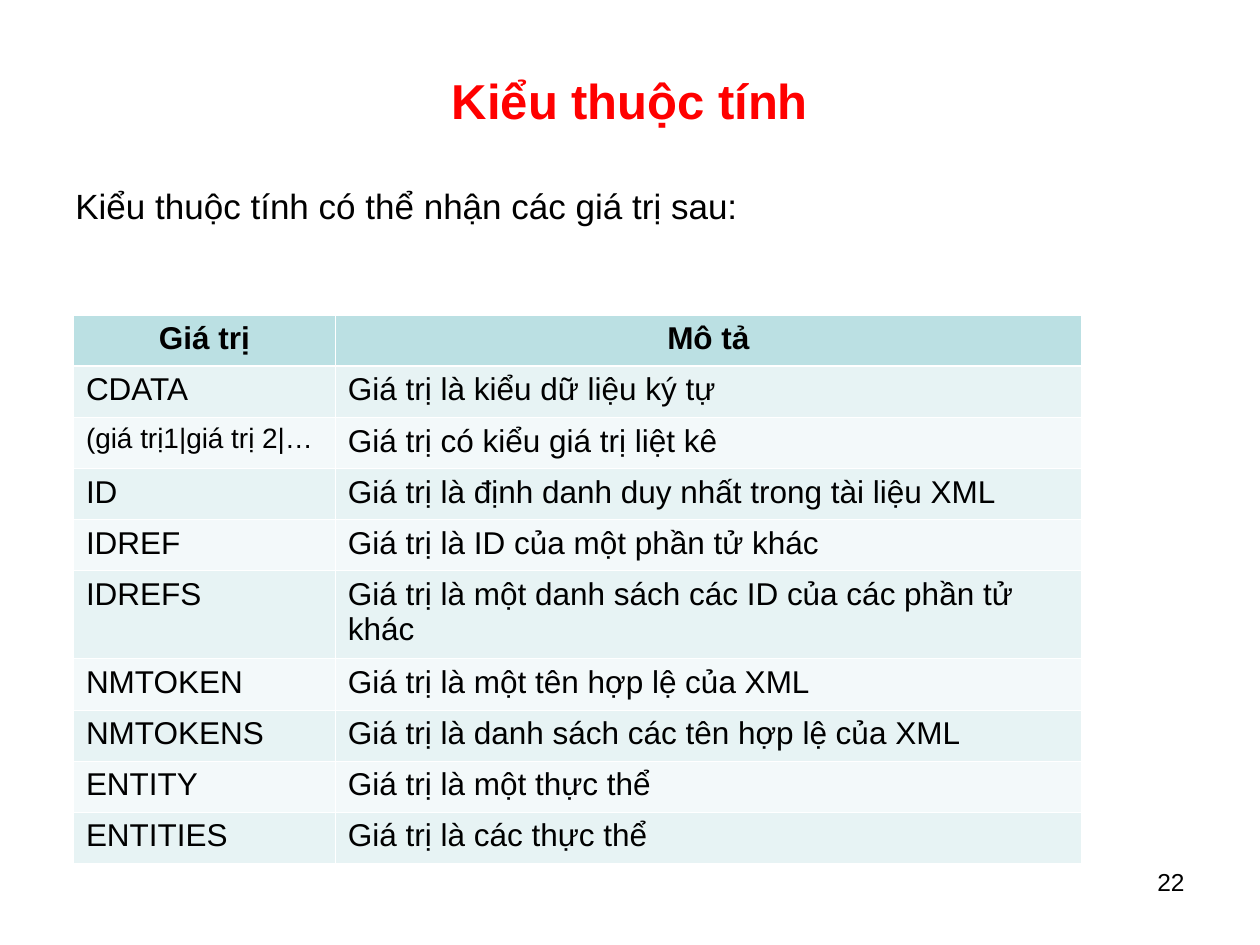
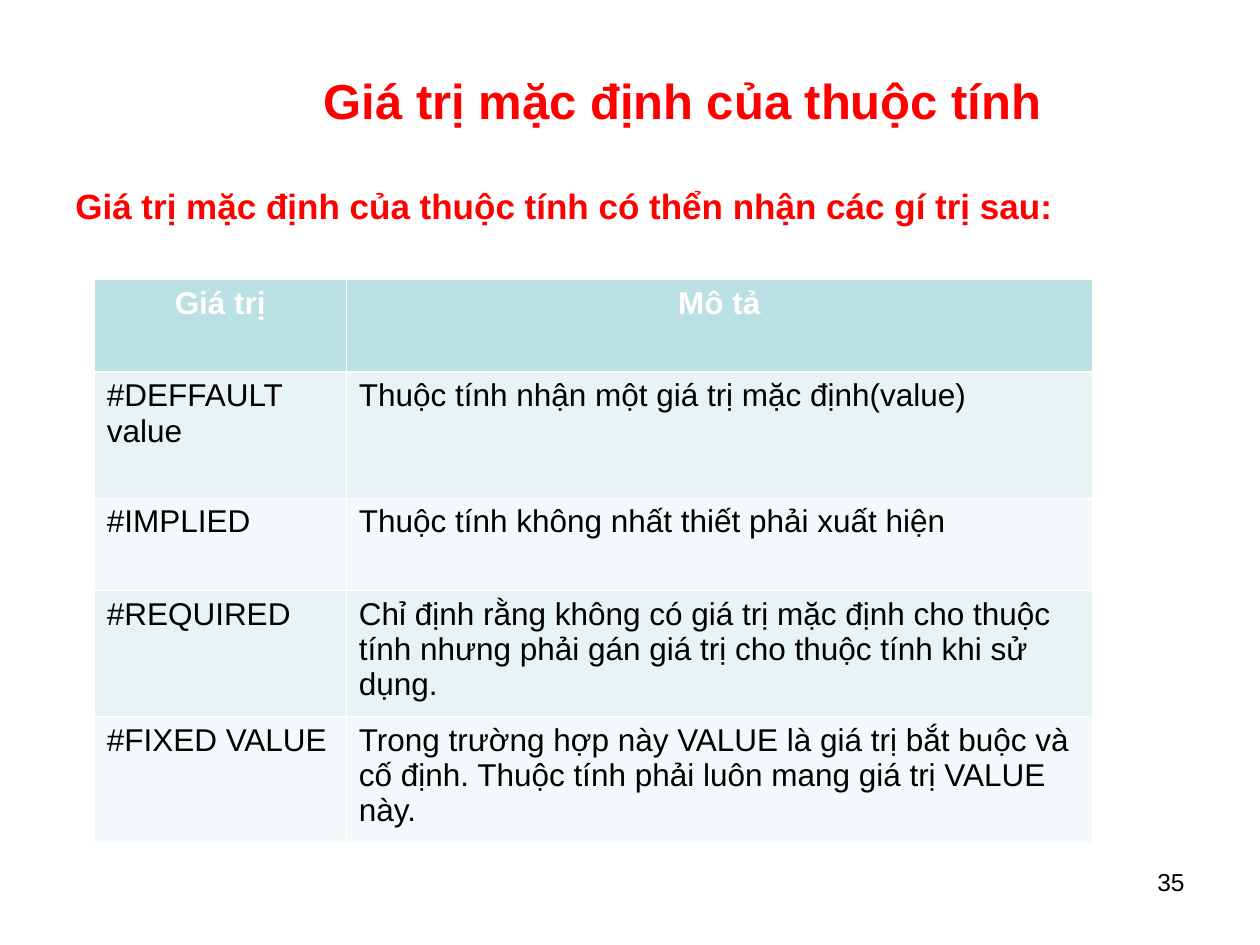
from lxml import etree
from pptx import Presentation
from pptx.dml.color import RGBColor
from pptx.enum import text
from pptx.oxml import ns
from pptx.util import Cm, Pt

RED = RGBColor(0xFF, 0x00, 0x00)
BLACK = RGBColor(0x00, 0x00, 0x00)
WHITE = RGBColor(0xFF, 0xFF, 0xFF)
HEADER_FILL = RGBColor(0xBB, 0xE0, 0xE3)
BAND_FILLS = RGBColor(0xE7, 0xF3, 0xF4), RGBColor(0xF3, 0xF9, 0xFA)
FONT = "Arial"
THIN, THICK = Pt(0.45), Pt(1.47)
LEFT, CENTER, RIGHT = text.PP_ALIGN.LEFT, text.PP_ALIGN.CENTER, text.PP_ALIGN.RIGHT

TITLE_BOX = Cm(1.27), Cm(0.43), Cm(22.86), Cm(3.18)
SHIFTED_TITLE_BOX = Cm(3.18), Cm(0.43), Cm(21.16), Cm(3.18)
INTRO_BOX = Cm(1.27), Cm(3.6), Cm(22.86), Cm(13.4)
NUMBER_BOX = Cm(18.2), Cm(17.35), Cm(5.93), Cm(1.32)

HEADER = ("Giá trị", "Mô tả")
TYPES = [
    ("CDATA", "Giá trị là kiểu dữ liệu ký tự"),
    ("(giá trị1|giá trị 2|…", "Giá trị có kiểu giá trị liệt kê"),
    ("ID", "Giá trị là định danh duy nhất trong tài liệu XML"),
    ("IDREF", "Giá trị là ID của một phần tử khác"),
    ("IDREFS", "Giá trị là một danh sách các ID của các phần tử khác"),
    ("NMTOKEN", "Giá trị là một tên hợp lệ của XML"),
    ("NMTOKENS", "Giá trị là danh sách các tên hợp lệ của XML"),
    ("ENTITY", "Giá trị là một thực thể"),
    ("ENTITIES", "Giá trị là các thực thể"),
]
DEFAULTS = [
    ("#DEFFAULT value", "Thuộc tính nhận một giá trị mặc định(value)"),
    ("#IMPLIED", "Thuộc tính không nhất thiết phải xuất hiện"),
    ("#REQUIRED", "Chỉ định rằng không có giá trị mặc định cho thuộc tính "
                  "nhưng phải gán giá trị cho thuộc tính khi sử dụng."),
    ("#FIXED VALUE", "Trong trường hợp này VALUE là giá trị bắt buộc và cố định. "
                     "Thuộc tính phải luôn mang giá trị VALUE này."),
]


def write(frame, words, size, color, bold=False, align=LEFT):
    paragraph = frame.paragraphs[0]
    paragraph.text = words
    paragraph.alignment = align
    font = paragraph.font
    font.name, font.size, font.bold = FONT, Pt(size), bold
    font.color.rgb = color


def add_words(slide, box, words, size, color, bold=False, align=LEFT,
              anchor=text.MSO_ANCHOR.TOP):
    frame = slide.shapes.add_textbox(*box).text_frame
    frame.word_wrap = True
    frame.vertical_anchor = anchor
    write(frame, words, size, color, bold, align)


def add_borders(cell, top, bottom):
    properties = cell._tc.get_or_add_tcPr()
    sides = ("lnL", THIN), ("lnR", THIN), ("lnT", top), ("lnB", bottom)
    for position, (side, width) in enumerate(sides):
        line = etree.Element(ns.qn("a:" + side), w=str(int(width)))
        fill = etree.SubElement(line, ns.qn("a:solidFill"))
        etree.SubElement(fill, ns.qn("a:srgbClr"), val=str(WHITE))
        properties.insert(position, line)


def add_values_table(slide, left, top, widths, heights, rows, header_color, small=()):
    table = slide.shapes.add_table(len(heights), len(widths), left, top,
                                   sum(widths), sum(heights)).table
    table.first_row = table.horz_banding = False
    for column, width in zip(table.columns, widths):
        column.width = width
    for index, (row, height, entries) in enumerate(zip(table.rows, heights, [HEADER] + rows)):
        row.height = height
        is_header = index == 0
        for cell, words in zip(row.cells, entries):
            cell.fill.solid()
            cell.fill.fore_color.rgb = HEADER_FILL if is_header else BAND_FILLS[(index - 1) % 2]
            add_borders(cell, THICK if index == 1 else THIN, THICK if is_header else THIN)
            write(cell.text_frame, words, 16 if words in small else 18,
                  header_color if is_header else BLACK, is_header,
                  CENTER if is_header else LEFT)


def add_values_slide(deck, title_box, title, intro, intro_color, number, **table):
    slide = deck.slides.add_slide(deck.slide_layouts[6])
    add_words(slide, title_box, title, 28, RED, True, CENTER, text.MSO_ANCHOR.MIDDLE)
    add_words(slide, INTRO_BOX, intro, 20, intro_color, intro_color == RED)
    add_words(slide, NUMBER_BOX, number, 14, BLACK, align=RIGHT)
    add_values_table(slide, **table)


deck = Presentation()
deck.slide_width, deck.slide_height = Cm(25.4), Cm(19.05)
add_values_slide(
    deck, TITLE_BOX, "Kiểu thuộc tính",
    "Kiểu thuộc tính có thể nhận các giá trị sau:", BLACK, "22",
    left=Cm(1.48), top=Cm(6.35), widths=[Cm(5.28), Cm(15.04)],
    heights=[Cm(1.78 if name == "IDREFS" else 1.03) for name, _ in [HEADER] + TYPES],
    rows=TYPES, header_color=BLACK, small=TYPES[1][:1])
add_values_slide(
    deck, SHIFTED_TITLE_BOX, "Giá trị mặc định của thuộc tính",
    "Giá trị mặc định của thuộc tính có thển nhận các gí trị sau:", RED, "35",
    left=Cm(1.9), top=Cm(5.64), widths=[Cm(5.08), Cm(15.04)],
    heights=[Cm(height) for height in (1.86, 2.54, 1.86, 2.54, 2.54)],
    rows=DEFAULTS, header_color=WHITE)
deck.save("out.pptx")
